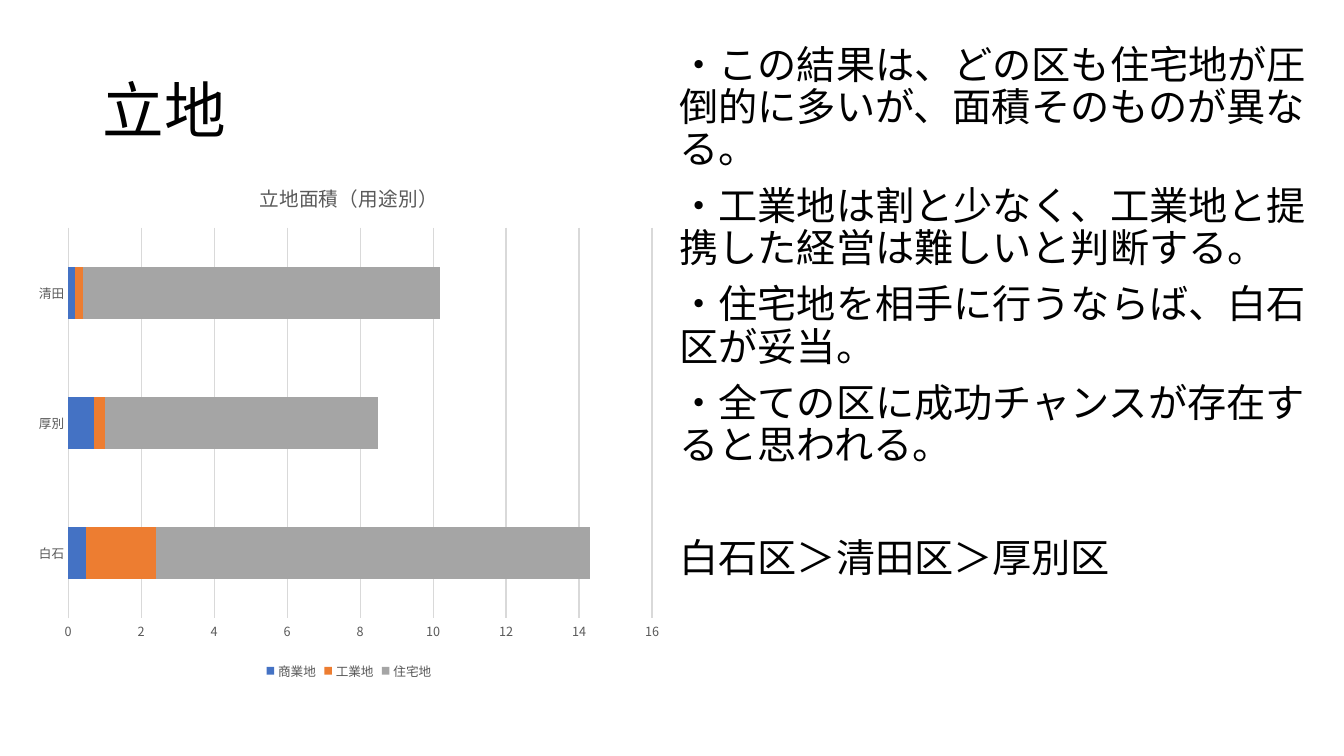
from lxml.etree import SubElement
from pptx import Presentation
from pptx.chart.data import CategoryChartData
from pptx.dml.color import RGBColor
from pptx.enum.chart import XL_CHART_TYPE, XL_LEGEND_POSITION, XL_TICK_MARK
from pptx.enum.text import MSO_ANCHOR, MSO_AUTO_SIZE, PP_ALIGN
from pptx.oxml.ns import qn
from pptx.util import Inches, Pt


def color(hex_string):
    return RGBColor.from_string(hex_string)


class LocationSlide:
    FONT = "Noto Sans CJK JP"
    INK, MUTED, RULE = "000000", "595959", "D9D9D9"
    COLUMNS, ROWS = 160, 90

    def __init__(self, deck):
        self.deck = deck
        self.slide = deck.slides.add_slide(deck.slide_layouts[5])

    def area(self, column, row, columns, rows):
        across = self.deck.slide_width / self.COLUMNS
        down = self.deck.slide_height / self.ROWS
        return (int(column * across), int(row * down),
                int(columns * across), int(rows * down))

    def style(self, font, size, ink):
        font.size = Pt(size)
        font.name = self.FONT
        font.color.rgb = color(ink)
        # East Asian typeface
        SubElement(font._rPr, qn("a:ea"), typeface=self.FONT)

    def add_text(self, paragraph, text, size, space_before=0):
        paragraph.alignment = PP_ALIGN.LEFT
        paragraph.line_spacing = 0.9
        paragraph.space_before = Pt(space_before)
        run = paragraph.add_run()
        run.text = text
        self.style(run.font, size, self.INK)

    def title(self, text, area):
        heading = self.slide.shapes.title
        heading.left, heading.top, heading.width, heading.height = self.area(*area)
        frame = heading.text_frame
        frame.auto_size = MSO_AUTO_SIZE.NONE
        frame.vertical_anchor = MSO_ANCHOR.MIDDLE
        self.add_text(frame.paragraphs[0], text, 44)

    def body(self, findings, conclusion, area):
        frame = self.slide.shapes.add_textbox(*self.area(*area)).text_frame
        frame.word_wrap = True
        for index, finding in enumerate(findings):
            paragraph = frame.add_paragraph() if index else frame.paragraphs[0]
            self.add_text(paragraph, finding, 28, 10)
        self.add_text(frame.add_paragraph(), conclusion, 28, 50)

    def stacked_bars(self, heading, wards, land_uses, area):
        data = CategoryChartData()
        data.categories = wards
        for name, _, values in land_uses:
            data.add_series(name, values)
        chart = self.slide.shapes.add_chart(
            XL_CHART_TYPE.BAR_STACKED, *self.area(*area), data).chart
        self.style(chart.font, 10, self.INK)

        # Chart title and legend
        chart.has_title = True
        run = chart.chart_title.text_frame.paragraphs[0].add_run()
        run.text = heading
        self.style(run.font, 14, self.MUTED)
        run.font.bold = False
        chart.chart_title.include_in_layout = False
        chart.has_legend = True
        chart.legend.position = XL_LEGEND_POSITION.BOTTOM
        chart.legend.include_in_layout = False
        self.style(chart.legend.font, 9, self.MUTED)

        # Bars
        plot = chart.plots[0]
        plot.gap_width, plot.overlap = 150, 100
        plot.vary_by_categories = False
        for series, (_, fill, _) in zip(plot.series, land_uses):
            series.format.fill.solid()
            series.format.fill.fore_color.rgb = color(fill)

        # Axes
        ward_axis, size_axis = chart.category_axis, chart.value_axis
        for axis in (ward_axis, size_axis):
            axis.major_tick_mark = axis.minor_tick_mark = XL_TICK_MARK.NONE
            self.style(axis.tick_labels.font, 9, self.MUTED)
        size_axis.minimum_scale, size_axis.maximum_scale = 0, 16
        size_axis.major_unit = 2
        size_axis.has_major_gridlines = True
        size_axis.format.line.fill.background()
        for line in (ward_axis.format.line, size_axis.major_gridlines.format.line):
            line.color.rgb = color(self.RULE)
            line.width = Pt(0.75)


def main():
    deck = Presentation()
    deck.slide_width, deck.slide_height = Inches(13.33), Inches(7.5)
    location = LocationSlide(deck)

    # Heading
    location.title("立地", (11, 4.8, 138, 17.4))

    # Findings and ranking
    location.body(
        ["・この結果は、どの区も住宅地が圧倒的に多いが、面積そのものが異なる。",
         "・工業地は割と少なく、工業地と提携した経営は難しいと判断する。",
         "・住宅地を相手に行うならば、白石区が妥当。",
         "・全ての区に成功チャンスが存在すると思われる。"],
        "白石区＞清田区＞厚別区",
        (79.7, 4.8, 80.3, 76.5))

    # Area by land use
    location.stacked_bars(
        "立地面積（用途別）",
        ["白石", "厚別", "清田"],
        [("商業地", "4472C4", (0.5, 0.7, 0.2)),
         ("工業地", "ED7D31", (1.9, 0.3, 0.2)),
         ("住宅地", "A5A5A5", (11.9, 7.5, 9.8))],
        (3.1, 19.2, 76.9, 62.2))

    deck.save("out.pptx")


if __name__ == "__main__":
    main()
